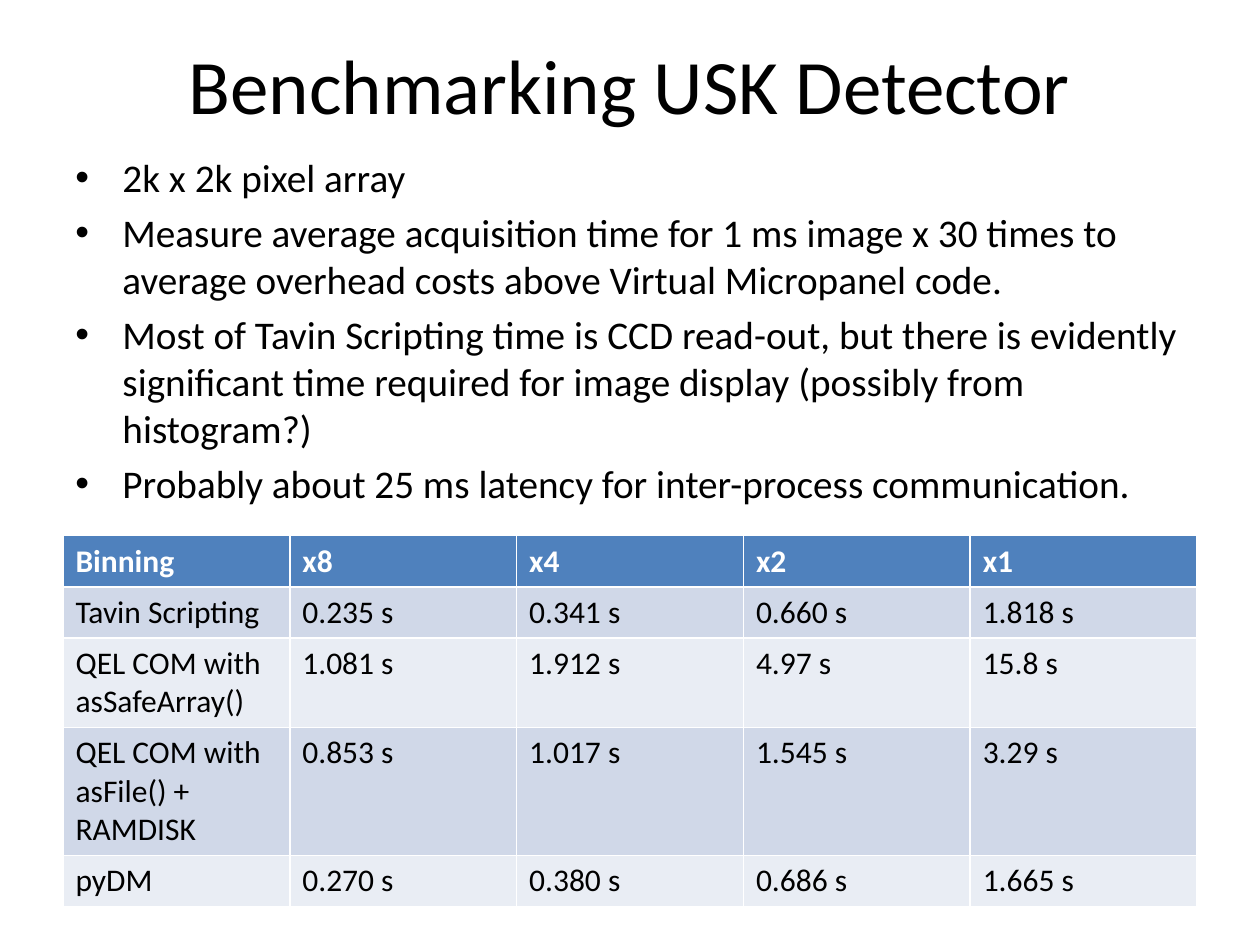
import pptx
import pptx.util
import pptx.dml.color
import pptx.enum.text
import lxml.etree

Cm, Pt = pptx.util.Cm, pptx.util.Pt
BLACK, WHITE, BLUE = "000000", "FFFFFF", "4F81BD"
BANDS = ["D0D8E8", "E9EDF4"]


def color(code):
    return pptx.dml.color.RGBColor.from_string(code)


class Page:
    """Holds the style and the current slide."""
    face = "Calibri"

    def __init__(self, deck):
        self.slide = deck.slides.add_slide(deck.slide_layouts[5])

    def font(self, para, size, code=BLACK, bold=False):
        font = para.font
        font.name, font.size, font.bold = self.face, Pt(size), bold
        font.color.rgb = color(code)

    def place(self, shape, left, top, width, height):
        shape.left, shape.top = Cm(left), Cm(top)
        shape.width, shape.height = Cm(width), Cm(height)

    def title(self, text, box):
        shape = self.slide.shapes.title
        self.place(shape, *box)
        frame = shape.text_frame
        frame.text = text
        frame.vertical_anchor = pptx.enum.text.MSO_ANCHOR.MIDDLE
        frame.paragraphs[0].alignment = pptx.enum.text.PP_ALIGN.CENTER
        self.font(frame.paragraphs[0], 44)

    def bullets(self, items, box, size, indent):
        frame = self.slide.shapes.add_textbox(*map(Cm, box)).text_frame
        frame.word_wrap = True
        frame.text = "\n".join(items)
        for para in frame.paragraphs:
            self.font(para, size)
            para.space_before = Pt(size * 0.2)
            props = para._p.get_or_add_pPr()
            props.set("marL", str(Cm(indent)))
            props.set("indent", str(-Cm(indent)))
            for tag, key, value in (("buFont", "typeface", "Arial"),
                                    ("buChar", "char", "•")):
                name = pptx.oxml.ns.qn("a:" + tag)
                lxml.etree.SubElement(props, name).set(key, value)

    def table(self, rows, box, height, size):
        left, top, width = box
        grid = self.slide.shapes.add_table(
            len(rows), len(rows[0]), Cm(left), Cm(top),
            Cm(width), Cm(height * len(rows))).table
        for i, row in enumerate(rows):
            head = i == 0
            for j, text in enumerate(row):
                cell = grid.cell(i, j)
                cell.text = text
                cell.fill.solid()
                cell.fill.fore_color.rgb = color(
                    BLUE if head else BANDS[(i - 1) % 2])
                for para in cell.text_frame.paragraphs:
                    self.font(para, size, WHITE if head else BLACK, head)


deck = pptx.Presentation()
deck.slide_width, deck.slide_height = Cm(25.4), Cm(19.05)
page = Page(deck)

# Heading
page.title("Benchmarking USK Detector", (1.27, 0.1, 22.86, 3.18))

# Timing results
page.table([
    ["Binning", "x8", "x4", "x2", "x1"],
    ["Tavin Scripting", "0.235 s", "0.341 s", "0.660 s", "1.818 s"],
    ["QEL COM with\nasSafeArray()", "1.081 s", "1.912 s", "4.97 s", "15.8 s"],
    ["QEL COM with\nasFile() + RAMDISK",
     "0.853 s", "1.017 s", "1.545 s", "3.29 s"],
    ["pyDM", "0.270 s", "0.380 s", "0.686 s", "1.665 s"],
], (1.27, 10.8, 22.86), 1.03, 18)

# Notes on the method
page.bullets([
    "2k x 2k pixel array",
    "Measure average acquisition time for 1 ms image x 30 times to average "
    "overhead costs above Virtual Micropanel code.",
    "Most of Tavin Scripting time is CCD read-out, but there is evidently "
    "significant time required for image display (possibly from histogram?)",
    "Probably about 25 ms latency for inter-process communication.",
], (1.27, 2.97, 22.86, 7.42), 22.4, 0.95)

deck.save("out.pptx")
